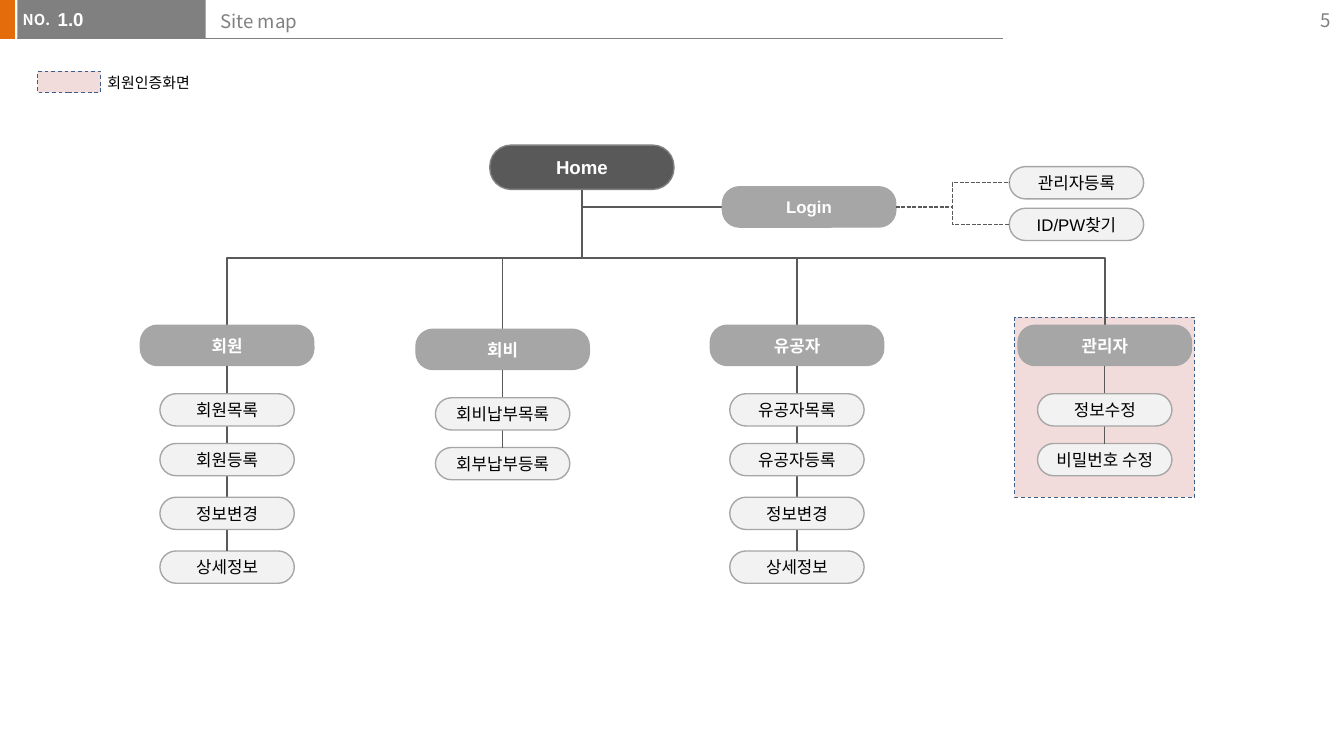
import pptx
import pptx.util
import pptx.dml.color
import pptx.enum.dml
import pptx.enum.shapes
import pptx.enum.text
import pptx.oxml
import pptx.oxml.ns

Inches = pptx.util.Inches
Pt = pptx.util.Pt
SHAPE = pptx.enum.shapes.MSO_SHAPE
LINK = pptx.enum.shapes.MSO_CONNECTOR
DASH = pptx.enum.dml.MSO_LINE
ALIGN = pptx.enum.text.PP_ALIGN
ANCHOR = pptx.enum.text.MSO_ANCHOR
qn = pptx.oxml.ns.qn
NS = pptx.oxml.ns.nsdecls("a")

COLORS = {"orange": "E46C0A", "gray": "808080", "dark": "595959", "mid": "A6A6A6",
          "light": "F2F2F2", "pink": "F2DCDB", "blue": "3A5F8C",
          "white": "FFFFFF", "black": "000000"}
SANS, KOREAN = "Arial", "Noto Sans CJK KR"

SECTIONS = [
    (1.69, 2.42, "회원", ["회원목록", "회원등록", "정보변경", "상세정보"]),
    (3.74, 2.45, "회비", ["회비납부목록", "회부납부등록"]),
    (5.93, 2.42, "유공자", ["유공자목록", "유공자등록", "정보변경", "상세정보"]),
    (8.22, 2.42, "관리자", ["정보수정", "비밀번호 수정"]),
]
LOGIN_PAGES = [("관리자등록", 1.24), ("ID/PW찾기", 1.55)]
PAGE_OFFSETS = [0.51, 0.88, 1.28, 1.68]
HEADERS = [
    ("NO.", (0.07, 0.03, 0.41, 0.24), 8, KOREAN, "white", True, 0.1, ALIGN.LEFT),
    ("1.0", (0.43, 0.01, 1.1, 0.31), 10, SANS, "white", True, 0, ALIGN.LEFT),
    ("5", (9.4, 0, 0.6, 0.3), 10, KOREAN, "gray", False, 0.1, ALIGN.RIGHT),
    ("회원인증화면", (0.7, 0.5, 0.88, 0.24), 8, KOREAN, "black", False, 0.1, ALIGN.LEFT),
]
STYLES = {
    "home": (1.37, 0.33, 0.48, "dark", "gray", "white", 10, True),
    "section": (1.29, 0.3, 0.42, "mid", "mid", "white", 9, True),
    "page": (1, 0.24, 0.5, "light", "mid", "black", 9, False),
}
HOME_X, HOME_TOP, BRANCH_Y = 4.33, 1.08, 1.92
HOME_BOTTOM = HOME_TOP + STYLES["home"][1]

prs = pptx.Presentation()
prs.slide_width = Inches(10)
prs.slide_height = prs.slide_width * 9 // 16
s = prs.slides.add_slide(prs.slide_layouts[5])


def rgb(name):
    return pptx.dml.color.RGBColor.from_string(COLORS[name])


def write(sp, text, size, font, color, bold=False, align=ALIGN.LEFT,
          anchor=ANCHOR.TOP, insets=(0.1, 0.05)):
    tf = sp.text_frame
    tf.text = text
    tf.vertical_anchor = anchor
    tf.margin_left = tf.margin_right = Inches(insets[0])
    tf.margin_top = tf.margin_bottom = Inches(insets[1])
    p = tf.paragraphs[0]
    p.alignment = align
    r = p.runs[0]
    r.font.size, r.font.bold, r.font.name = Pt(size), bold, font
    r.font.color.rgb = rgb(color)
    r.font._element.append(pptx.oxml.parse_xml(f'<a:ea {NS} typeface="{KOREAN}"/>'))


def add_box(kind, box, fill, line=None, width=0.75, dash=None):
    sp = s.shapes.add_shape(kind, *map(Inches, box))
    sp.shadow.inherit = False
    sp.fill.solid()
    sp.fill.fore_color.rgb = rgb(fill)
    if line:
        sp.line.color.rgb = rgb(line)
        sp.line.width = Pt(width)
        sp.line.dash_style = dash
    else:
        sp.line.fill.background()
    return sp


def add_node(style, text, center, top):
    w, h, adj, fill, line, color, size, bold = STYLES[style]
    sp = add_box(SHAPE.ROUNDED_RECTANGLE, (center - w / 2, top, w, h), fill, line)
    sp.adjustments[0] = adj
    write(sp, text, size, SANS, color, bold, ALIGN.CENTER, ANCHOR.MIDDLE, (0.02, 0.02))
    return sp


def add_link(kind, ends=(0, 0, 0, 0), color="dark", width=0.75, dash=None):
    c = s.shapes.add_connector(kind, *map(Inches, ends))
    c.line.color.rgb = rgb(color)
    c.line.width = Pt(width)
    c.line.dash_style = dash
    c._element.spPr.append(pptx.oxml.parse_xml(f'<a:effectLst {NS}/>'))
    return c


def join(kind, start, start_site, end, end_site, dash=None):
    c = add_link(kind, dash=dash)
    c.begin_connect(start, start_site)
    c.end_connect(end, end_site)


def drop(x1, y1, x2, y2, bend_y=None):
    cx, cy = (x1 + x2) / 2, (y1 + y2) / 2
    half_w, half_h = (y2 - y1) / 2, abs(x2 - x1) / 2
    side = 1 if x2 > x1 else -1
    c = add_link(LINK.ELBOW, (cx + side * half_w, cy - half_h,
                              cx - side * half_w, cy + half_h))
    c._element.spPr.find(qn("a:xfrm")).set("rot", str((270 if side > 0 else 90) * 60000))
    geom = c._element.spPr.find(qn("a:prstGeom"))
    if bend_y is None:
        geom.set("prst", "bentConnector2")
    else:
        share = round((bend_y - y1) / (y2 - y1) * 100000)
        geom.find(qn("a:avLst")).append(
            pptx.oxml.parse_xml(f'<a:gd {NS} name="adj1" fmla="val {share}"/>'))


add_box(SHAPE.RECTANGLE, (-0.01, 0, 0.12, 0.29), "orange")
add_link(LINK.STRAIGHT, (0.13, 0.29, 7.46, 0.29), "gray", 0.5)
add_box(SHAPE.RECTANGLE, (0.13, 0, 1.4, 0.29), "gray")
for box in [(7.55, 2.36, 1.34, 1.34), (0.28, 0.53, 0.47, 0.16)]:
    add_box(SHAPE.RECTANGLE, box, "pink", "blue", 0.5, DASH.DASH)

title = s.shapes.title
title.left, title.top, title.width, title.height = map(Inches, (1.54, 0.02, 5.91, 0.32))
write(title, "Site map", 10, KOREAN, "gray")
for text, box, size, font, color, bold, inset, align in HEADERS:
    tb = s.shapes.add_textbox(*map(Inches, box))
    tb.text_frame.word_wrap = text in ("1.0", "5")
    anchor = ANCHOR.MIDDLE if text == "5" else ANCHOR.TOP
    write(tb, text, size, font, color, bold, align, anchor, (inset, 0.05))

for center, top, name, pages in SECTIONS:
    drop(HOME_X, HOME_BOTTOM, center, top, BRANCH_Y)
    section = add_node("section", name, center, top)
    *upper, last = list(zip(pages, PAGE_OFFSETS))
    last_page = add_node("page", last[0], center, top + last[1])
    join(LINK.STRAIGHT, section, 2, last_page, 0)
    for page, offset in upper:
        add_node("page", page, center, top + offset)

drop(HOME_X, HOME_BOTTOM, 5.37, 1.54)
add_node("home", "Home", HOME_X, HOME_TOP)
login = add_node("section", "Login", 6.02, 1.39)
for name, top in LOGIN_PAGES:
    page = add_node("page", name, 8.01, top)
    join(LINK.ELBOW, login, 3, page, 1, DASH.SQUARE_DOT)

prs.save("out.pptx")
